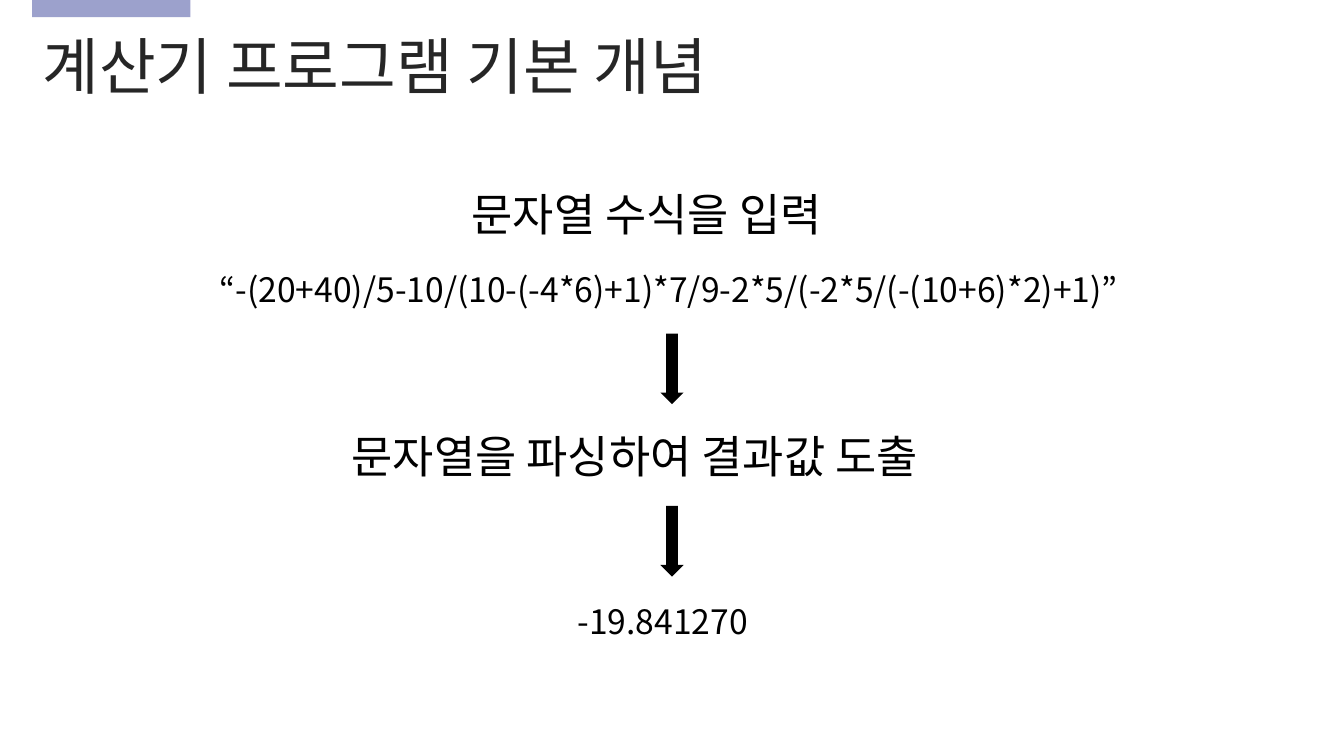
import dataclasses

import pptx
import pptx.dml.color
import pptx.enum.shapes
import pptx.enum.text
import pptx.oxml.ns
import pptx.util
import lxml.etree

Inches = pptx.util.Inches
Shape = pptx.enum.shapes.MSO_SHAPE


@dataclasses.dataclass(frozen=True)
class Theme:
    accent: str = "9CA1CC"
    heading: str = "262626"
    ink: str = "000000"
    heading_font: str = "Arial"
    body_font: str = "Noto Sans CJK KR"
    heading_size: int = 44
    step_size: int = 32
    value_size: int = 24


def write_text(box, text, *, size, color, font, east_font, wrap=True):
    frame = box.text_frame
    frame.word_wrap = wrap
    frame.auto_size = pptx.enum.text.MSO_AUTO_SIZE.NONE
    frame.vertical_anchor = pptx.enum.text.MSO_ANCHOR.MIDDLE
    para = frame.paragraphs[0]
    para.alignment = pptx.enum.text.PP_ALIGN.LEFT
    span = para.add_run()
    span.text = text
    span.font.size = pptx.util.Pt(size)
    span.font.name = font
    span.font.color.rgb = pptx.dml.color.RGBColor.from_string(color)
    properties = span.font._element
    east = lxml.etree.SubElement(properties, pptx.oxml.ns.qn("a:ea"))
    east.set("typeface", east_font)


class SlideBuilder:
    def __init__(self, page, theme):
        self.page = page
        self.theme = theme

    def title(self, text, left, top, width, height):
        box = self.page.shapes.title
        box.left, box.top = Inches(left), Inches(top)
        box.width, box.height = Inches(width), Inches(height)
        write_text(box, text, size=self.theme.heading_size,
                   color=self.theme.heading, font=self.theme.heading_font,
                   east_font=self.theme.body_font, wrap=False)

    def label(self, text, left, top, width, height, size):
        box = self.page.shapes.add_textbox(
            Inches(left), Inches(top), Inches(width), Inches(height))
        write_text(box, text, size=size, color=self.theme.ink,
                   font=self.theme.body_font, east_font=self.theme.body_font)

    def step(self, text, left, top, width):
        self.label(text, left, top, width, 0.64, self.theme.step_size)

    def value(self, text, left, top, width):
        self.label(text, left, top, width, 0.5, self.theme.value_size)

    def solid(self, kind, left, top, width, height, color):
        shape = self.page.shapes.add_shape(
            kind, Inches(left), Inches(top), Inches(width), Inches(height))
        shape.shadow.inherit = False
        shape.fill.solid()
        shape.fill.fore_color.rgb = pptx.dml.color.RGBColor.from_string(color)
        shape.line.fill.background()

    def down_arrow(self, top):
        self.solid(Shape.DOWN_ARROW, 6.55, top, 0.23, 0.7, self.theme.ink)


def main():
    deck = pptx.Presentation()
    deck.slide_width = Inches(13.33)
    deck.slide_height = Inches(7.5)
    title_only = deck.slide_layouts.get_by_name("Title Only")
    theme = Theme()
    builder = SlideBuilder(deck.slides.add_slide(title_only), theme)

    builder.solid(Shape.RECTANGLE, 0.32, 0, 1.57, 0.17, theme.accent)
    builder.title("계산기 프로그램 기본 개념", 0.32, 0.22, 7.64, 0.84)
    builder.step("문자열 수식을 입력", 4.58, 1.8, 4.17)
    builder.value("“-(20+40)/5-10/(10-(-4*6)+1)*7/9-2*5/(-2*5/(-(10+6)*2)+1)”",
                  2.08, 2.62, 9.17)
    builder.down_arrow(3.31)
    builder.step("문자열을 파싱하여 결과값 도출", 3.39, 4.2, 6.55)
    builder.down_arrow(5.02)
    builder.value("-19.841270", 5.63, 5.91, 2.06)

    deck.save("out.pptx")


if __name__ == "__main__":
    main()
